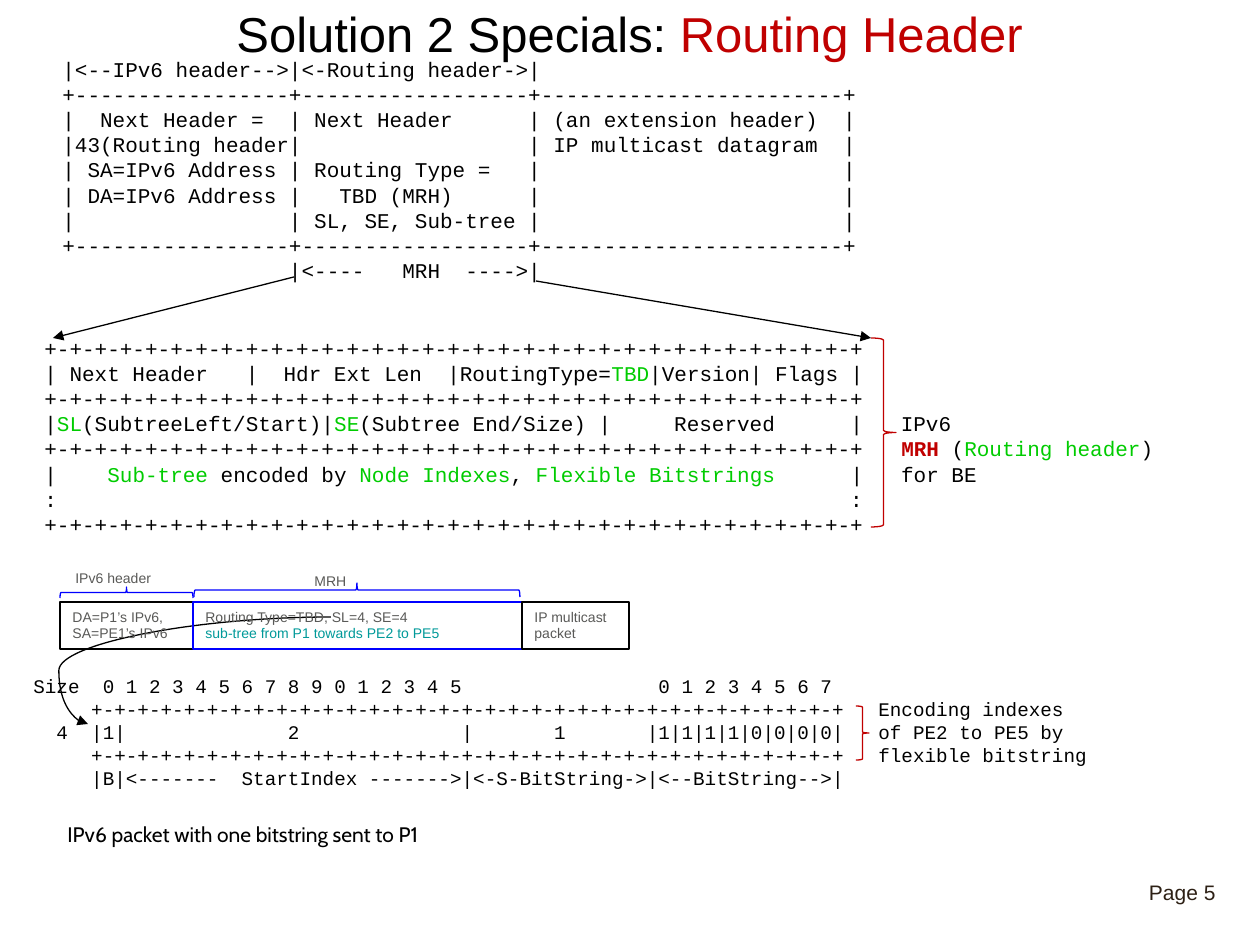
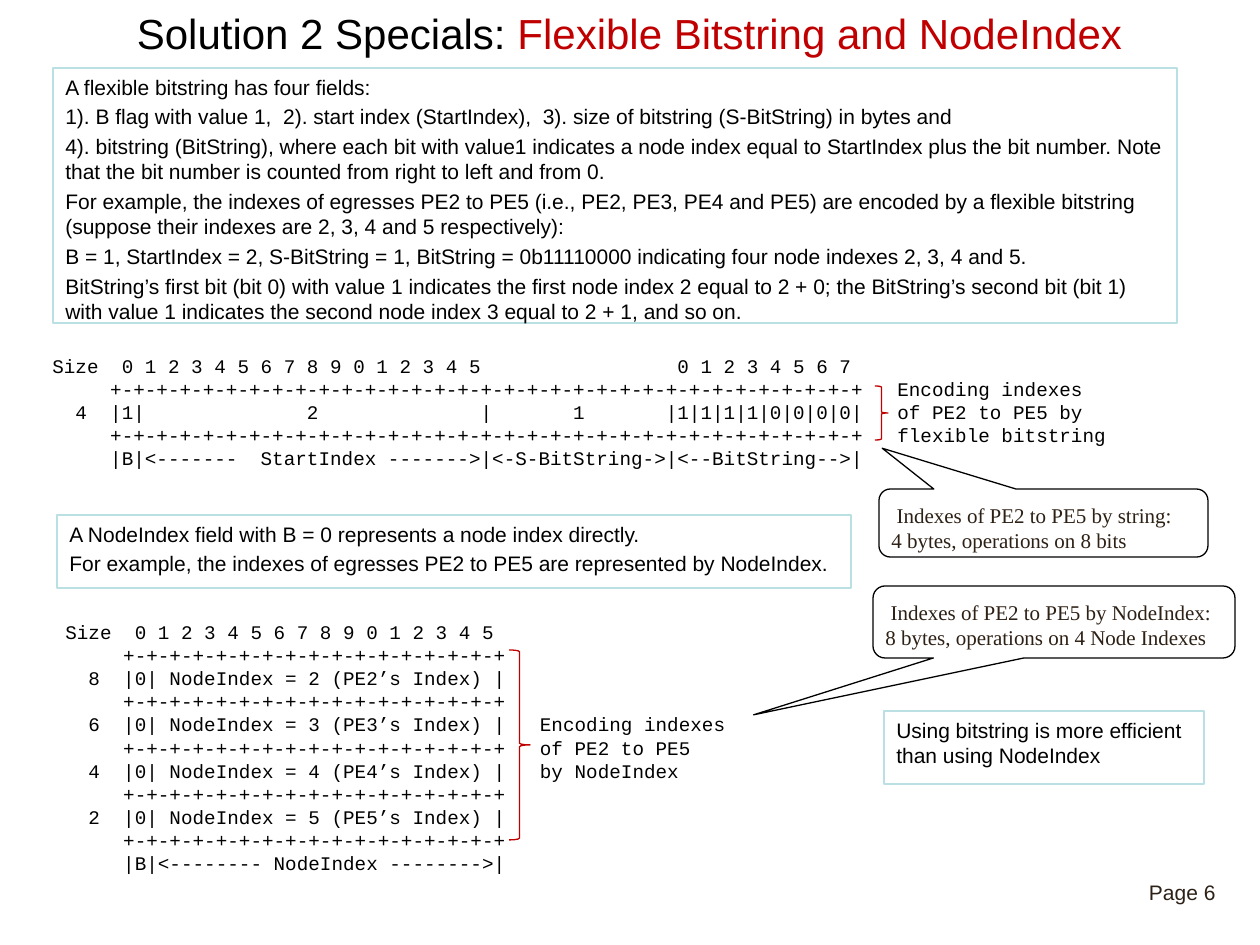
from dataclasses import dataclass

from lxml import etree
from pptx import Presentation
from pptx.dml.color import RGBColor
from pptx.enum.shapes import MSO_CONNECTOR, MSO_SHAPE
from pptx.enum.text import MSO_ANCHOR, PP_ALIGN
from pptx.oxml.ns import qn
from pptx.util import Emu, Pt

RECT = MSO_SHAPE.RECTANGLE
BRACE = MSO_SHAPE.RIGHT_BRACE
BUBBLE = MSO_SHAPE.ROUNDED_RECTANGULAR_CALLOUT
LINE = MSO_CONNECTOR.STRAIGHT
CURVE = MSO_CONNECTOR.CURVE
TOP, MIDDLE = MSO_ANCHOR.TOP, MSO_ANCHOR.MIDDLE
LEFT, CENTER = PP_ALIGN.LEFT, PP_ALIGN.CENTER


@dataclass(frozen=True)
class Theme:
    """Colours, fonts and type sizes."""
    ink: str = "000000"
    red: str = "C00000"
    green: str = "00CC00"
    blue: str = "0000FF"
    teal: str = "009999"
    pale: str = "BBE0E3"
    gray: str = "595957"
    brown: str = "2D2015"
    sans: str = "Arial"
    mono: str = "Courier New"
    serif: str = "Times New Roman"
    human: str = "Cabin"
    body: int = 12
    code: int = 11
    small: int = 8
    gap: float = 2.6
    rule: float = 0.75


T = Theme()
SCALE = 914400 / 126


def ruler(bits):
    """Return the dashed border of a diagram that is some bits wide."""
    return "+-" * bits + "+"


# Content: a line is a string or a list of (text, colour) runs.
LEAD = "Solution 2 Specials: "
WIDE, HALF = ruler(32), ruler(16)
BORDER = "+" + "+".join("-" * n for n in (17, 18, 24)) + "+"

PACKET = [
    "|<--IPv6 header-->|<-Routing header->|",
    BORDER,
    "|  Next Header =  | Next Header      | (an extension header)  |",
    "|43(Routing header|                  | IP multicast datagram  |",
    "| SA=IPv6 Address | Routing Type =   |                        |",
    "| DA=IPv6 Address |   TBD (MRH)      |                        |",
    "|                 | SL, SE, Sub-tree |                        |",
    BORDER,
    "                  |<----   MRH  ---->|",
]
MRH = [
    WIDE,
    [("| Next Header   |  Hdr Ext Len  |RoutingType=", T.ink),
     ("TBD", T.green), ("|Version| Flags |", T.ink)],
    WIDE,
    [("|", T.ink), ("SL", T.green), ("(SubtreeLeft/Start)|", T.ink),
     ("SE", T.green),
     ("(Subtree End/Size) |     Reserved      |   IPv6", T.ink)],
    [(WIDE + "   ", T.ink), ("MRH ", T.red), ("(", T.ink),
     ("Routing header", T.green), (")", T.ink)],
    [("|    ", T.ink), ("Sub-tree", T.green), (" encoded by ", T.ink),
     ("Node Indexes", T.green), (", ", T.ink),
     ("Flexible Bitstrings", T.green), ("      |   for BE", T.ink)],
    ":                                                               :",
    WIDE,
]
FLEX = [
    "Size  0 1 2 3 4 5 6 7 8 9 0 1 2 3 4 5                 0 1 2 3 4 5 6 7",
    f"     {WIDE}   Encoding indexes",
    "  4  |1|              2              |       1       "
    "|1|1|1|1|0|0|0|0|   of PE2 to PE5 by",
    f"     {WIDE}   flexible bitstring",
    "     |B|<-------  StartIndex ------->|<-S-BitString->|<--BitString-->|",
]
# size, node, note beside the row, note beside the border under it
NODES = [
    (8, 2, "", ""),
    (6, 3, "   Encoding indexes", "   of PE2 to PE5"),
    (4, 4, "   by NodeIndex", ""),
    (2, 5, "", ""),
]
CELLS = [
    (T.ink, ["DA=P1’s IPv6, SA=PE1’s IPv6"]),
    (T.blue, ["Routing Type=TBD, SL=4, SE=4",
              [("sub-tree from P1 towards PE2 to PE5", T.teal)]]),
    (T.ink, ["IP multicast packet"]),
]
EDGES = [60, 193, 522, 629]
LABELS = [((63, 563, 140, 30), "IPv6 header"), ((302, 566, 88, 30), "MRH")]
SPANS = [(60, 587, 133, 11), (194, 583, 326, 14)]
ARROWS = [((294, 277), (53, 338)), ((536, 281), (871, 338))]

NOTES = [
    ((53, 68, 1124, 255), [
        "A flexible bitstring has four fields:",
        "1). B flag with value 1,  2). start index (StartIndex),  "
        "3). size of bitstring (S-BitString) in bytes and",
        "4). bitstring (BitString), where each bit with value1 indicates a "
        "node index equal to StartIndex plus the bit number. Note that the "
        "bit number is counted from right to left and from 0.",
        "For example, the indexes of egresses PE2 to PE5 (i.e., PE2, PE3, "
        "PE4 and PE5) are encoded by a flexible bitstring (suppose their "
        "indexes are 2, 3, 4 and 5 respectively):",
        "B = 1, StartIndex = 2, S-BitString = 1, BitString = 0b11110000 "
        "indicating four node indexes 2, 3, 4 and 5.",
        "BitString’s first bit (bit 0) with value 1 indicates the first node "
        "index 2 equal to 2 + 0; the BitString’s second bit (bit 1) with "
        "value 1 indicates the second node index 3 equal to 2 + 1, "
        "and so on.",
    ]),
    ((57, 515, 794, 73), [
        "A NodeIndex field with B = 0 represents a node index directly.",
        "For example, the indexes of egresses PE2 to PE5 are represented "
        "by NodeIndex.",
    ]),
    ((884, 711, 320, 73), [
        "Using bitstring is more efficient than using NodeIndex",
    ]),
]
# place, pointer, text
CALLS = [
    ((873, 586, 362, 72), (-0.83, 1.29), [
        " Indexes of PE2 to PE5 by NodeIndex:",
        "8 bytes, operations on 4 Node Indexes"]),
    ((879, 489, 329, 68), (-0.49, -1.1), [
        " Indexes of PE2 to PE5 by string:",
        "4 bytes, operations on 8 bits"]),
]


def px(*sizes):
    """Turn pixels into EMU."""
    return [Emu(round(size * SCALE)) for size in sizes]


def write(frame, lines, font=T.sans, size=T.body, color=T.ink, gap=0,
          align=LEFT, anchor=TOP, wrap=True):
    """Fill a text frame, one paragraph a line, run by run."""
    frame.word_wrap, frame.vertical_anchor = wrap, anchor
    for i, line in enumerate(lines):
        para = frame.paragraphs[0] if i == 0 else frame.add_paragraph()
        para.alignment = align
        if i and gap:
            para.space_before = Pt(gap)
        runs = [(line, color)] if isinstance(line, str) else line
        for text, tint in runs:
            run = para.add_run()
            run.text = text
            run.font.name, run.font.size = font, Pt(size)
            run.font.bold = text == "MRH "
            run.font.color.rgb = RGBColor.from_string(tint)


def label(slide, box, lines, **style):
    """Add a plain text box."""
    frame = slide.shapes.add_textbox(*px(*box)).text_frame
    write(frame, lines, **style)
    return frame


def art(slide, box, lines, size=T.code):
    """Add a diagram drawn in fixed-width type."""
    label(slide, box, lines, font=T.mono, size=size, wrap=False)


def outline(slide, kind, box, color):
    """Add an unfilled shape with a thin line."""
    shape = slide.shapes.add_shape(kind, *px(*box))
    shape.shadow.inherit = False
    shape.fill.background()
    shape.line.color.rgb = RGBColor.from_string(color)
    shape.line.width = Pt(T.rule)
    return shape


def span(slide, x, y, w, h):
    """Add a brace that lies over a range and points up."""
    box = (x + (w - h) / 2, y + (h - w) / 2, h, w)
    outline(slide, BRACE, box, T.blue).rotation = 270


def arrow(slide, kind, start, end, bend=None):
    """Add a connector with an arrowhead at its end."""
    link = slide.shapes.add_connector(kind, *px(*start, *end))
    link.line.color.rgb = RGBColor.from_string(T.ink)
    link.line.width = Pt(T.rule)
    props = link._element.spPr
    etree.SubElement(props.find(qn("a:ln")), qn("a:tailEnd"), type="triangle")
    etree.SubElement(props, qn("a:effectLst"))
    if bend:
        guides = props.find(qn("a:prstGeom")).find(qn("a:avLst"))
        etree.SubElement(guides, qn("a:gd"), name="adj1",
                         fmla=f"val {round(bend * 100000)}")


def flex(slide, x, y):
    """Add the flexible bitstring diagram and its brace."""
    art(slide, (x, y, 1110, 130), FLEX)
    outline(slide, BRACE, (x + 835, y + 38, 13, 54), T.red)


def start(deck, topic, size, page):
    """Add a slide with its title and page number."""
    slide = deck.slides.add_slide(deck.slide_layouts[6])
    label(slide, (94, 4, 1071, 58), [[(LEAD, T.ink), (topic, T.red)]],
          size=size, align=CENTER, anchor=MIDDLE)
    foot = label(slide, (1149, 883, 84, 39), [f"Page {page}"], color=T.brown)
    foot.margin_left = foot.margin_right = 0
    foot.margin_top = foot.margin_bottom = 0
    foot.paragraphs[0].line_spacing = 0.85
    return slide


def routing(deck):
    """Build the routing header slide."""
    slide = start(deck, "Routing Header", 28, 5)
    art(slide, (32, 329, 1144, 217), MRH, T.body)
    outline(slide, BRACE, (871, 338, 25, 189), T.red)
    art(slide, (50, 50, 857, 242), PACKET, T.body)
    for tail, head in ARROWS:
        arrow(slide, LINE, tail, head)
    arrow(slide, CURVE, (331, 617), (88, 724), 1.12)
    label(slide, (55, 815, 552, 38),
          ["IPv6 packet with one bitstring sent to P1"], font=T.human)
    for (color, lines), x, end in zip(CELLS, EDGES, EDGES[1:]):
        cell = outline(slide, RECT, (x, 602, end - x, 47), color)
        write(cell.text_frame, lines, size=T.small, color=T.gray)
    for box, text in LABELS:
        label(slide, box, [text], size=T.small, color=T.gray)
    for box in SPANS:
        span(slide, *box)
    flex(slide, 21, 668)


def bitstring(deck):
    """Build the flexible bitstring and NodeIndex slide."""
    slide = start(deck, "Flexible Bitstring and NodeIndex", 24, 6)
    for box, lines in NOTES:
        note = outline(slide, RECT, box, T.pale)
        write(note.text_frame, lines, gap=T.gap)
    flex(slide, 40, 348)
    rows = [FLEX[0][:37], f"     {HALF}"]
    for size, node, side, under in NODES:
        rows += [f"  {size}  |0| NodeIndex = {node} (PE{node}’s Index) |{side}",
                 f"     {HALF}{under}"]
    rows.append("     |B|<-------- NodeIndex -------->|")
    art(slide, (53, 614, 703, 270), rows)
    outline(slide, BRACE, (509, 650, 21, 190), T.red)
    for (x, y, w, h), tip, lines in CALLS:
        label(slide, (x, y + 7, w + 20, 63), lines, font=T.serif,
              color=T.brown)
        call = outline(slide, BUBBLE, (x, y, w, h), T.ink)
        call.adjustments[0], call.adjustments[1] = tip


deck = Presentation()
deck.slide_width, deck.slide_height = px(1260, 945)
routing(deck)
bitstring(deck)
deck.save("out.pptx")
